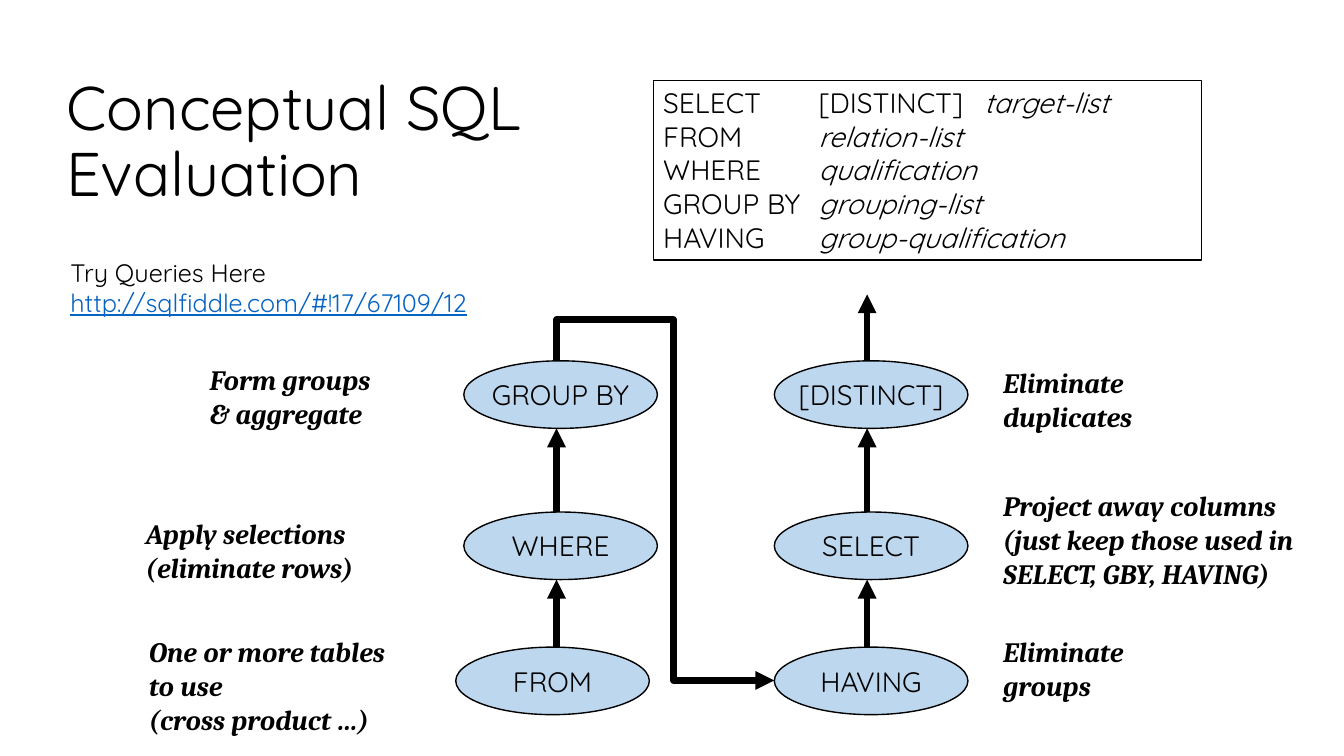
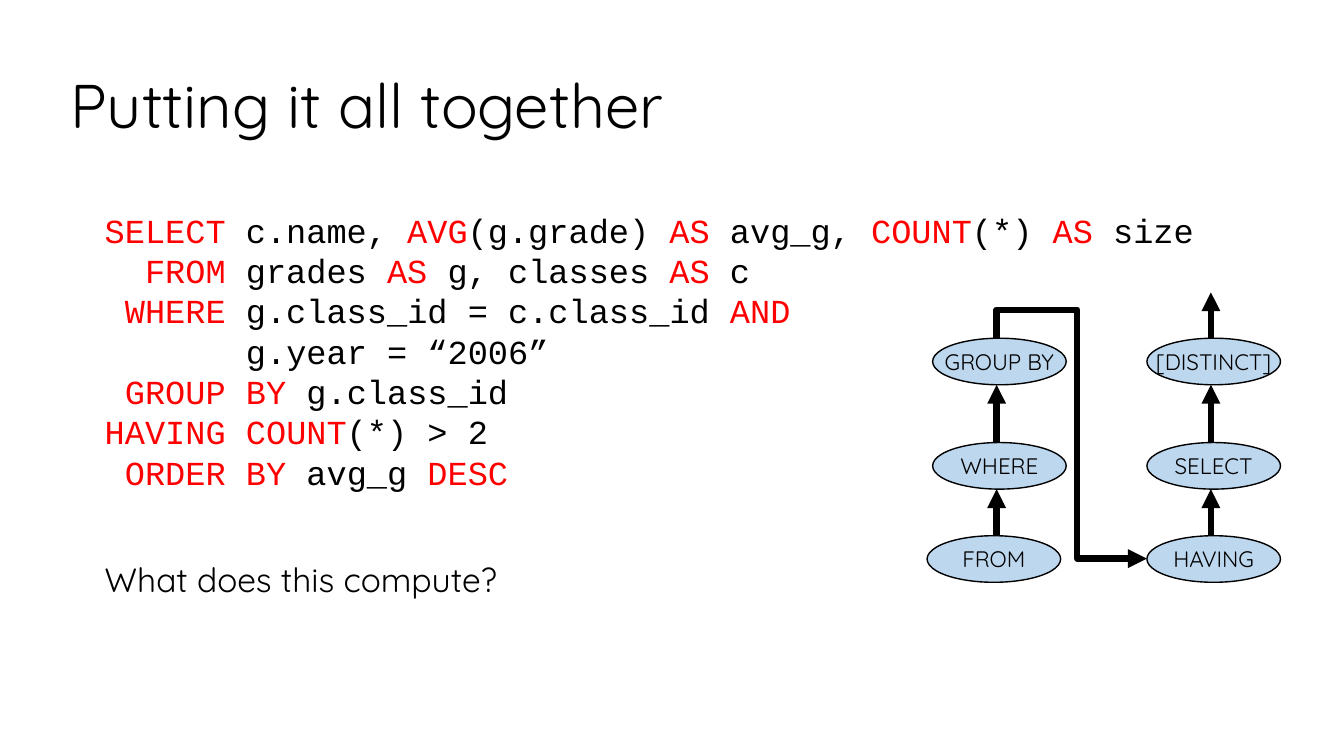
"""Build two slides on the conceptual evaluation order of an SQL query."""
from lxml import etree
from pptx import Presentation
from pptx.dml.color import RGBColor
from pptx.enum.shapes import MSO_CONNECTOR, MSO_SHAPE
from pptx.enum.text import MSO_ANCHOR, MSO_AUTO_SIZE, PP_ALIGN
from pptx.oxml.ns import qn
from pptx.util import Inches, Pt

STRAIGHT = MSO_CONNECTOR.STRAIGHT
OVAL, RECTANGLE = MSO_SHAPE.OVAL, MSO_SHAPE.RECTANGLE
TOP, MIDDLE = MSO_ANCHOR.TOP, MSO_ANCHOR.MIDDLE
LEFT, CENTER = PP_ALIGN.LEFT, PP_ALIGN.CENTER
NO_FIT = MSO_AUTO_SIZE.NONE

BLACK = RGBColor(0x00, 0x00, 0x00)
RED = RGBColor(0xFF, 0x00, 0x00)
LINK_BLUE = RGBColor(0x05, 0x63, 0xC1)
PALE_BLUE = RGBColor(0xBD, 0xD7, 0xEE)
SANS, SERIF, MONO = "Quicksand", "Cambria", "Courier New"

CLAUSES = [
    ("SELECT\t[DISTINCT]\t", "target-list"),
    ("FROM\t", "relation-list"),
    ("WHERE\t", "qualification"),
    ("GROUP BY\t", "grouping-list"),
    ("HAVING\t", "group-qualification"),
]
CLAUSE_TABS = (1.54, 3.18)
TRY_LINES = "Try Queries Here\nhttp://sqlfiddle.com/#!17/67109/12"
STEP_NOTES = [
    ("Form groups & aggregate", 1.98, 3.55, 2),
    ("Apply selections\n(eliminate rows)", 1.35, 5.08, 2.83),
    ("One or more tables to use\n(cross product …)", 1.38, 6.25, 2.68),
    ("Eliminate duplicates", 9.85, 3.58, 1.5),
    ("Project away columns\n(just keep those used in SELECT, GBY, HAVING)", 9.85, 4.8, 3.42),
    ("Eliminate groups", 9.85, 6.25, 1.5),
]
QUERY = [
    "|SELECT| c.name, |AVG|(g.grade) |AS| avg_g, |COUNT|(*) |AS| size",
    "|  FROM| grades |AS| g, classes |AS| c",
    "| WHERE| g.class_id = c.class_id |AND",
    "       g.year = “2006”",
    "| GROUP BY| g.class_id",
    "|HAVING COUNT|(*) > 2",
    "| ORDER BY| avg_g |DESC",
]
QUESTION = "What does this compute?"

FLOW_LEFT, FLOW_TOP = 4.6, 2.92
STEP_WIDTH, STEP_HEIGHT = 1.92, 0.67
ROWS = (3.58, 5.08, 6.42)
STEPS = [
    (5.52, (("GROUP BY", 4.6), ("WHERE", 4.6), ("FROM", 4.52))),
    (8.6, (("[DISTINCT]", 7.68), ("SELECT", 7.68), ("HAVING", 7.68))),
]
BEND = [(5.52, 3.58), (5.52, 3.17), (6.68, 3.17), (6.68, 6.75), (7.68, 6.75)]


def style(para, size, name=SANS, color=BLACK, bold=False, italic=False):
    for span in para.runs:
        font = span.font
        font.size, font.name, font.color.rgb = Pt(size), name, color
        font.bold, font.italic = bold, italic


def add_title(page, text, left, top, width):
    title = page.shapes.title
    title.left, title.top = Inches(left), Inches(top)
    title.width, title.height = Inches(width), Inches(1.45)
    frame = title.text_frame
    frame.text = text
    frame.auto_size, frame.vertical_anchor = NO_FIT, MIDDLE
    para = frame.paragraphs[0]
    para.alignment, para.line_spacing = LEFT, 0.9
    style(para, 44)


def add_text(page, text, left, top, width, height, size, **look):
    box = page.shapes.add_textbox(*map(Inches, (left, top, width, height)))
    frame = box.text_frame
    frame.word_wrap = True
    frame.text = text
    for para in frame.paragraphs:
        style(para, size, **look)
    return frame


def add_spans(para, pieces, size, name, looks):
    for index, piece in enumerate(pieces):
        if piece:
            span = para.add_run()
            span.text = piece
            font = span.font
            font.size, font.name = Pt(size), name
            font.color.rgb, font.italic = looks[index % 2]


def outline(shape, width):
    shape.line.color.rgb = BLACK
    shape.line.width = Pt(width)


def add_arrowhead(shape):
    etree.SubElement(shape.line._get_or_add_ln(), qn("a:tailEnd"), type="triangle")


def add_flow(shapes, left, top, scale, size):
    def place(x, y):
        return (Inches(left + (x - FLOW_LEFT) * scale),
                Inches(top + (y - FLOW_TOP) * scale))

    for arrow_x, steps in STEPS:
        for (label, x), y in zip(steps, ROWS):
            oval = shapes.add_shape(OVAL, *place(x, y), Inches(STEP_WIDTH * scale),
                                    Inches(STEP_HEIGHT * scale))
            oval.shadow.inherit = False
            oval.fill.solid()
            oval.fill.fore_color.rgb = PALE_BLUE
            outline(oval, 1)
            frame = oval.text_frame
            frame.word_wrap, frame.vertical_anchor = False, MIDDLE
            frame.text = label
            frame.paragraphs[0].alignment = CENTER
            style(frame.paragraphs[0], size)

    arrows = [(x, lower, upper + STEP_HEIGHT)
              for x, _ in STEPS for upper, lower in zip(ROWS, ROWS[1:])]
    arrows.append((STEPS[1][0], ROWS[0], FLOW_TOP))
    for x, start, end in arrows:
        arrow = shapes.add_connector(STRAIGHT, *place(x, start), *place(x, end))
        outline(arrow, 4.5)
        add_arrowhead(arrow)
        etree.SubElement(arrow._element.spPr, qn("a:effectLst"))

    corners = [place(x, y) for x, y in BEND]
    builder = shapes.build_freeform(*corners[0])
    builder.add_line_segments(corners[1:], close=False)
    bend = builder.convert_to_shape()
    bend.shadow.inherit = False
    bend.fill.background()
    outline(bend, 4.5)
    add_arrowhead(bend)


def add_clauses(page):
    box = page.shapes.add_shape(RECTANGLE, Inches(6.48), Inches(0.8),
                                Inches(5.44), Inches(1.78))
    box.shadow.inherit = False
    box.fill.background()
    outline(box, 1)
    frame = box.text_frame
    frame.vertical_anchor = TOP
    for index, clause in enumerate(CLAUSES):
        para = frame.add_paragraph() if index else frame.paragraphs[0]
        para.alignment = LEFT
        tabs = etree.SubElement(para._p.get_or_add_pPr(), qn("a:tabLst"))
        for stop in CLAUSE_TABS:
            etree.SubElement(tabs, qn("a:tab"), pos=str(Inches(stop)), algn="l")
        add_spans(para, clause, 20, SANS, ((BLACK, False), (BLACK, True)))


def build_evaluation(page):
    add_title(page, "Conceptual SQL Evaluation", 0.56, 0.7, 5.62)
    add_clauses(page)
    link = add_text(page, TRY_LINES, 0.6, 2.5, 4.49, 1.01, 18).paragraphs[1].runs[0]
    link.font.color.rgb, link.font.underline = LINK_BLUE, True
    for text, left, top, width in STEP_NOTES:
        add_text(page, text, left, top, width, 0.77, 20, name=SERIF, bold=True, italic=True)
    add_flow(page.shapes, FLOW_LEFT, FLOW_TOP, 1, 20)


def build_query(page):
    add_title(page, "Putting it all together", 0.6, 0.35, 11.81)
    frame = add_text(page, "", 0.94, 2.03, 11.48, 4.7, 24)
    for index, line in enumerate(QUERY):
        para = frame.add_paragraph() if index else frame.paragraphs[0]
        para.line_spacing = Pt(28.8)
        add_spans(para, line.split("|"), 24, MONO, ((BLACK, False), (RED, False)))
    question = frame.add_paragraph()
    question.text = QUESTION
    question.space_before = Pt(48)
    style(question, 24)
    add_flow(page.shapes.add_group_shape().shapes, 9.25, 2.9, 0.69, 16)


def main():
    deck = Presentation()
    deck.slide_width, deck.slide_height = Inches(13.33), Inches(7.5)
    title_only = deck.slide_layouts[5]
    for build in (build_evaluation, build_query):
        build(deck.slides.add_slide(title_only))
    deck.save("out.pptx")


if __name__ == "__main__":
    main()
